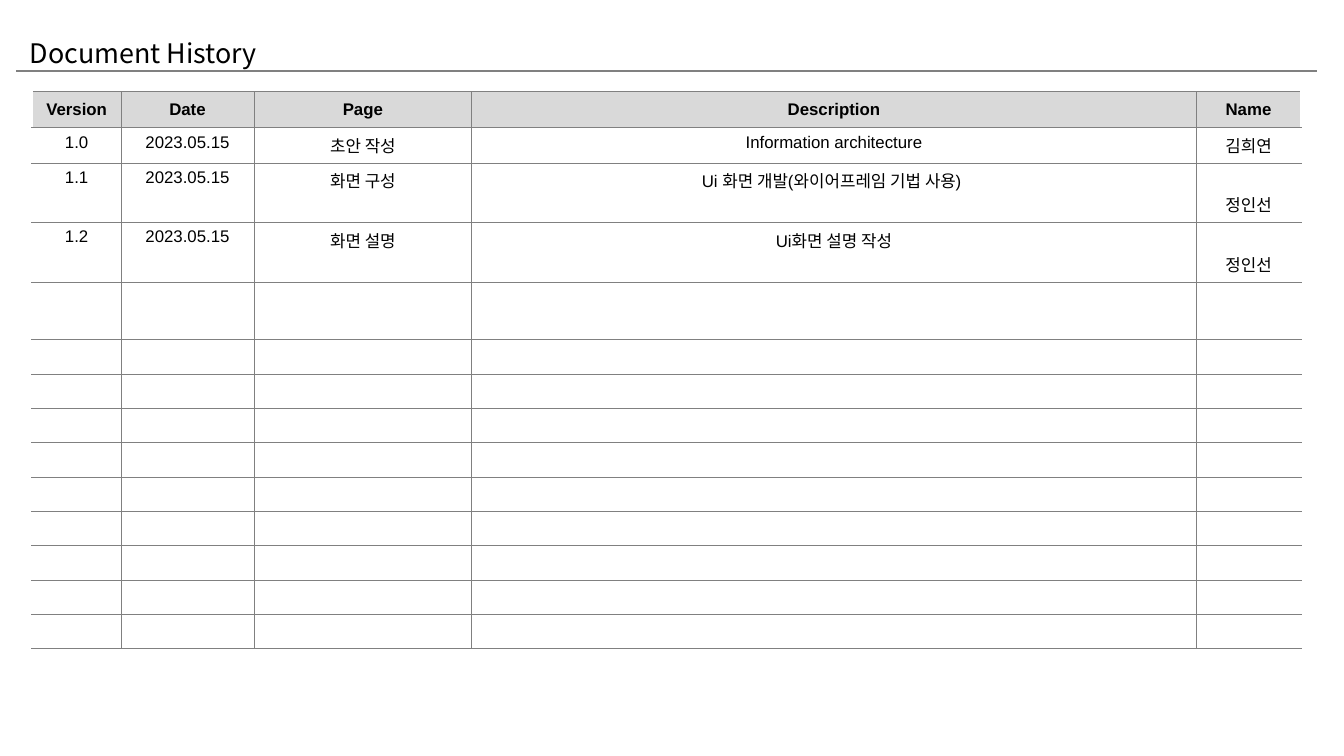
from lxml import etree
from pptx import Presentation
from pptx.dml.color import RGBColor
from pptx.enum.shapes import MSO_CONNECTOR
from pptx.enum.text import MSO_ANCHOR, MSO_AUTO_SIZE, PP_ALIGN
from pptx.oxml.ns import qn
from pptx.util import Inches, Pt

STRAIGHT = MSO_CONNECTOR.STRAIGHT
TOP, MIDDLE = MSO_ANCHOR.TOP, MSO_ANCHOR.MIDDLE
LEFT, CENTER = PP_ALIGN.LEFT, PP_ALIGN.CENTER
NO_AUTOFIT = MSO_AUTO_SIZE.NONE
BLACK = RGBColor(0x00, 0x00, 0x00)
WHITE = RGBColor(0xFF, 0xFF, 0xFF)
GRAY = RGBColor(0x80, 0x80, 0x80)
HEADER_GRAY = RGBColor(0xD9, 0xD9, 0xD9)
LATIN_FONT, KOREAN_FONT = "Arial", "Noto Sans CJK KR"

COLUMN_WIDTHS = [0.66, 0.99, 1.62, 5.39, 0.78]
EMPTY_ROWS = 9
ROW_HEIGHTS = [0.27, 0.25] + [0.43] * 3 + [2.3 / EMPTY_ROWS] * EMPTY_ROWS
HISTORY = [
    ["Version", "Date", "Page", "Description", "Name"],
    ["1.0", "2023.05.15", "초안 작성", "Information architecture", "김희연"],
    ["1.1", "2023.05.15", "화면 구성", "Ui 화면 개발(와이어프레임 기법 사용) ", "정인선"],
    ["1.2", "2023.05.15", "화면 설명", "Ui화면 설명 작성", "정인선"],
]
DOUBLE_SPACED_ROWS = (2, 3)


def add_run(paragraph, text, size, latin, bold=False):
    run = paragraph.add_run()
    run.text = text
    run.font.size = Pt(size)
    run.font.name = latin
    run.font.bold = bold
    run.font.color.rgb = BLACK
    east_asian = etree.SubElement(run.font._element, qn("a:ea"))
    east_asian.set("typeface", KOREAN_FONT)


def set_borders(cell, sides):
    properties = cell._tc.get_or_add_tcPr()
    for position, side in enumerate(sides):
        border = etree.Element(qn(f"a:ln{side}"), w=str(Pt(0.25)))
        fill = etree.SubElement(border, qn("a:solidFill"))
        etree.SubElement(fill, qn("a:srgbClr"), val=str(GRAY))
        properties.insert(position, border)


prs = Presentation()
prs.slide_width = Inches(10)
prs.slide_height = prs.slide_width * 9 // 16
slide = prs.slides.add_slide(prs.slide_layouts[5])

rule = slide.shapes.add_connector(
    STRAIGHT, Inches(0.12), Inches(0.53), Inches(9.8), Inches(0.53))
rule.line.color.rgb = GRAY
rule.line.width = Pt(1)
etree.SubElement(rule._element.spPr, qn("a:effectLst"))

heading = slide.shapes.title
heading.left, heading.top = Inches(0.12), Inches(0.23)
heading.width, heading.height = Inches(8.03), Inches(0.3)
heading_frame = heading.text_frame
heading_frame.auto_size = NO_AUTOFIT
heading_frame.vertical_anchor = MIDDLE
heading_frame.margin_top = Inches(0.03)
heading_frame.margin_bottom = 0
heading_frame.paragraphs[0].alignment = LEFT
add_run(heading_frame.paragraphs[0], "Document History", 14.4, KOREAN_FONT)

history = slide.shapes.add_table(
    len(ROW_HEIGHTS), len(COLUMN_WIDTHS), Inches(0.24), Inches(0.68),
    Inches(sum(COLUMN_WIDTHS)), Inches(sum(ROW_HEIGHTS))).table
history.horz_banding = False
for column, width in zip(history.columns, COLUMN_WIDTHS):
    column.width = Inches(width)

last_column = len(COLUMN_WIDTHS) - 1
for row_index, height in enumerate(ROW_HEIGHTS):
    history.rows[row_index].height = Inches(height)
    is_header = row_index == 0
    for column_index in range(len(COLUMN_WIDTHS)):
        cell = history.cell(row_index, column_index)
        cell.fill.solid()
        cell.fill.fore_color.rgb = HEADER_GRAY if is_header else WHITE
        cell.vertical_anchor = MIDDLE if is_header else TOP
        cell.margin_left = cell.margin_right = Inches(0.1)
        cell.margin_top = cell.margin_bottom = Inches(0.04)
        sides = "RTB" if column_index == 0 else "LTB" if column_index == last_column else "LRTB"
        set_borders(cell, sides)
        paragraph = cell.text_frame.paragraphs[0]
        paragraph.alignment = CENTER
        if row_index < len(HISTORY):
            add_run(paragraph, HISTORY[row_index][column_index], 9, LATIN_FONT, is_header)
            if column_index == last_column and row_index in DOUBLE_SPACED_ROWS:
                paragraph.line_spacing = 2.0
        else:
            etree.SubElement(paragraph._p, qn("a:endParaRPr"), sz="900")

prs.save("out.pptx")
